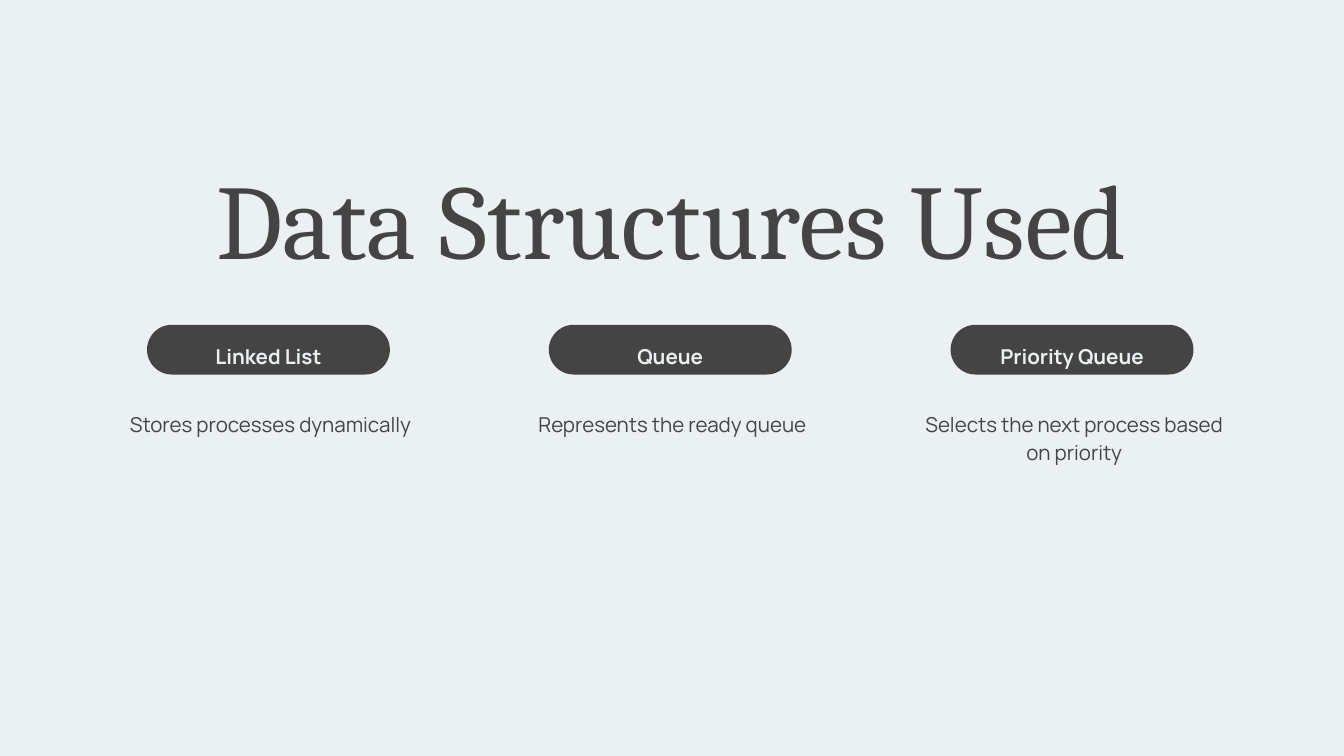
from pptx import Presentation
from pptx.dml.color import RGBColor
from pptx.enum.shapes import MSO_SHAPE
from pptx.enum.text import MSO_ANCHOR, PP_ALIGN
from pptx.util import Pt

PX = 9525  # EMU per px
PILL = MSO_SHAPE.ROUNDED_RECTANGLE
TOP = MSO_ANCHOR.TOP
CENTER = PP_ALIGN.CENTER

DARK = RGBColor(0x44, 0x44, 0x44)
PALE = RGBColor(0xEB, 0xF0, 0xF2)

SERIF = "Cambria"
SANS = "Manrope"

PITCH = 574
ITEMS = [
    ("Linked List", "Stores processes dynamically"),
    ("Queue", "Represents the ready queue"),
    ("Priority Queue", "Selects the next process based on priority"),
]


def px(*sizes):
    return [size * PX for size in sizes]


def write(shape, text, font, size, lead, color, bold=False, inset=0):
    """Fill a shape with one centred line of text, inset from its top."""
    frame = shape.text_frame
    frame.word_wrap = True
    frame.vertical_anchor = TOP
    frame.margin_left = frame.margin_right = frame.margin_bottom = 0
    frame.margin_top = inset * PX
    para = frame.paragraphs[0]
    para.alignment = CENTER
    para.line_spacing = Pt(lead)
    run = para.add_run()
    run.text = text
    run.font.name = font
    run.font.size = Pt(size)
    run.font.bold = bold
    run.font.color.rgb = color


def add_text(slide, box, *style):
    write(slide.shapes.add_textbox(*px(*box)), *style)


def add_pill(slide, box, label):
    pill = slide.shapes.add_shape(PILL, *px(*box))
    pill.adjustments[0] = 0.5
    pill.shadow.inherit = False
    pill.fill.solid()
    pill.fill.fore_color.rgb = DARK
    pill.line.fill.background()
    write(pill, label, SANS, 22, 30.8, PALE, bold=True, inset=11)


def main():
    deck = Presentation()
    deck.slide_width, deck.slide_height = px(1920, 1080)
    slide = deck.slides.add_slide(deck.slide_layouts[6])
    fill = slide.background.fill
    fill.solid()
    fill.fore_color.rgb = PALE

    add_text(slide, (125, 189, 1669, 204), "Data Structures Used",
             SERIF, 113.5, 158.9, DARK)
    for col, (label, note) in enumerate(ITEMS):
        shift = col * PITCH
        add_pill(slide, (210 + shift, 464, 347, 71), label)
        add_text(slide, (155 + shift, 582, 463, 82), note,
                 SANS, 22, 30.8, DARK)
    deck.save("out.pptx")


if __name__ == "__main__":
    main()
